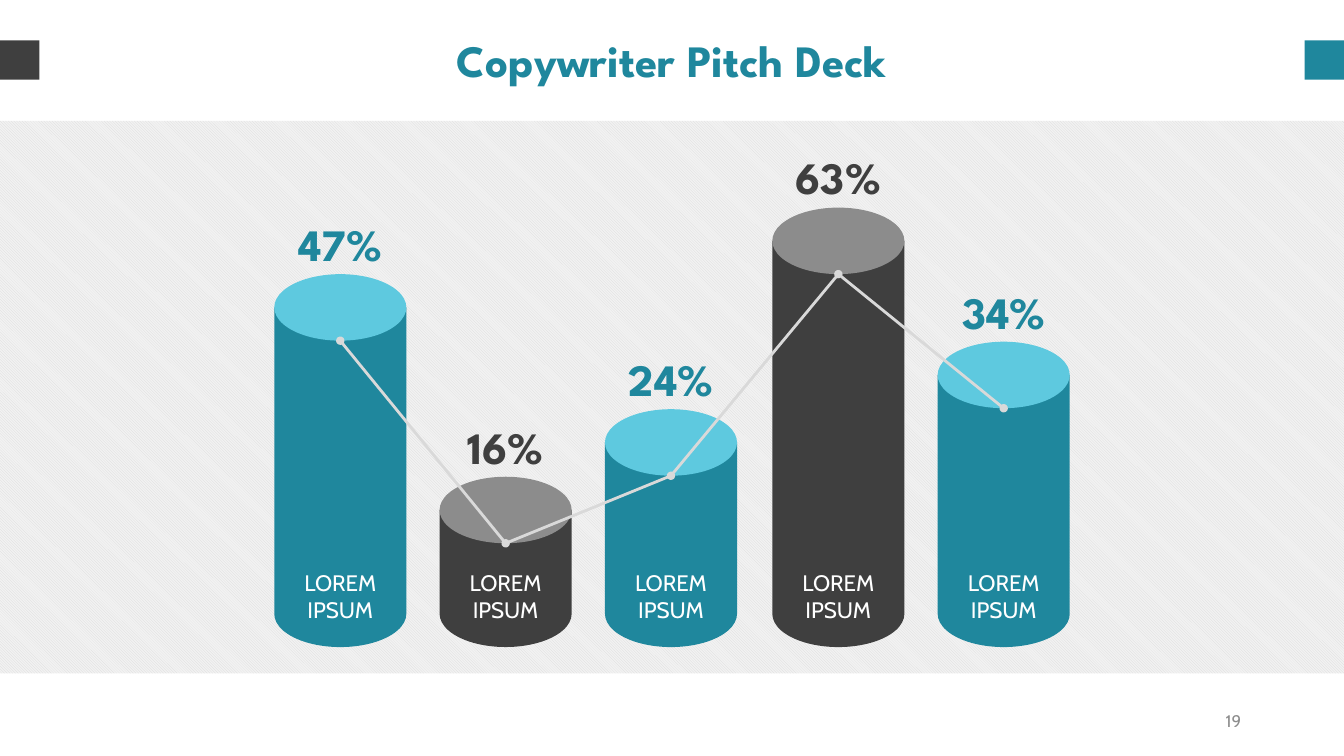
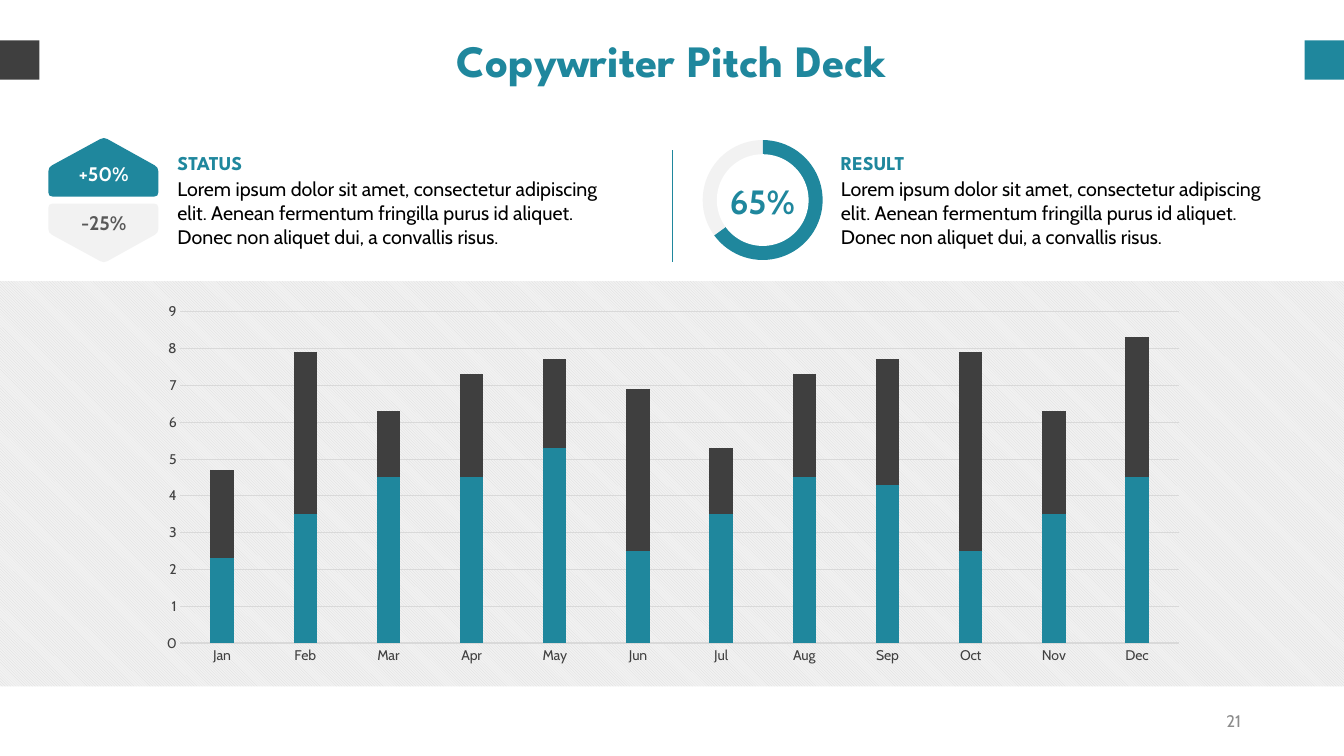
"""Build two pitch deck slides: a cylinder diagram and a status report with charts."""
from math import hypot

from lxml.etree import SubElement
from pptx import Presentation
from pptx.chart.data import CategoryChartData
from pptx.dml.color import RGBColor
from pptx.enum.chart import XL_CHART_TYPE, XL_TICK_MARK
from pptx.enum.dml import MSO_PATTERN
from pptx.enum.shapes import MSO_CONNECTOR, MSO_SHAPE
from pptx.enum.text import MSO_ANCHOR, MSO_AUTO_SIZE, PP_ALIGN
from pptx.oxml import parse_xml
from pptx.oxml.ns import nsdecls, qn
from pptx.util import Inches, Pt

COLORS = {
    "teal": "1F879D", "sky": "5EC9DF", "dark": "3F3F3F", "gray": "8C8C8C",
    "rule": "D9D9D9", "pale": "F2F2F2", "axis": "404040", "muted": "595959",
    "white": "FFFFFF", "black": "000000",
}
RGB = {name: RGBColor.from_string(value) for name, value in COLORS.items()}
HEADING, BODY = "League Spartan", "Cabin"
CENTER, LEFT, RIGHT = PP_ALIGN.CENTER, PP_ALIGN.LEFT, PP_ALIGN.RIGHT
TOP, MIDDLE = MSO_ANCHOR.TOP, MSO_ANCHOR.MIDDLE


def paint(shape, color):
    shape.shadow.inherit = False
    shape.fill.solid()
    shape.fill.fore_color.rgb = RGB[color]
    shape.line.fill.background()


def write(shape, text, size, color, font=BODY, bold=False, align=CENTER, anchor=TOP):
    frame = shape.text_frame
    frame.text = text
    frame.word_wrap = True
    frame.auto_size = MSO_AUTO_SIZE.NONE
    frame.vertical_anchor = anchor
    frame.margin_left = frame.margin_right = frame.margin_top = frame.margin_bottom = 0
    paragraph = frame.paragraphs[0]
    paragraph.alignment = align
    run_font = paragraph.runs[0].font
    run_font.name, run_font.size, run_font.bold = font, Pt(size), bold
    run_font.color.rgb = RGB[color]


presentation = Presentation()
presentation.slide_width, presentation.slide_height = Inches(13.33), Inches(7.5)

slides = []
for number, band_top, band_height in [("19", 1.2, 5.48), ("21", 2.79, 4.02)]:
    slide = presentation.slides.add_slide(presentation.slide_layouts[5])
    slides.append(slide)
    band = slide.shapes.add_shape(MSO_SHAPE.RECTANGLE, 0, Inches(band_top),
                                  Inches(13.33), Inches(band_height))
    paint(band, "pale")
    band.fill.patterned()
    band.fill.pattern = MSO_PATTERN.LIGHT_DOWNWARD_DIAGONAL
    band.fill.fore_color.rgb = RGB["rule"]
    band.fill.back_color.rgb = RGB["pale"]
    title = slide.shapes.title
    title.left, title.top = Inches(0.68), Inches(0.32)
    title.width, title.height = Inches(11.97), Inches(0.54)
    write(title, "Copywriter Pitch Deck", 32, "teal", HEADING, True)
    for left, color in [(12.94, "teal"), (0, "dark")]:
        square = slide.shapes.add_shape(MSO_SHAPE.RECTANGLE, Inches(left), Inches(0.4),
                                        Inches(0.39), Inches(0.39))
        paint(square, color)
    page_number = slide.shapes.add_textbox(Inches(9.42), Inches(6.95), Inches(2.89), Inches(0.4))
    write(page_number, number, 12, "gray", align=RIGHT, anchor=MIDDLE)

cylinder_slide, report_slide = slides

WIDTH, CAP_HEIGHT, BASE = 1.31, 0.66, 6.09
cylinders = [("47%", 2.72, 2.72), ("16%", 4.36, 4.73), ("24%", 6, 4.06),
             ("63%", 7.66, 2.06), ("34%", 9.3, 3.39)]
trend = []
for index, (percent, left, top) in enumerate(cylinders):
    body_color, cap_color = [("teal", "sky"), ("dark", "gray")][index % 2]
    middle, right = left + WIDTH / 2, left + WIDTH
    trend.append((middle, top + CAP_HEIGHT))
    shoulder = top + CAP_HEIGHT / 2
    corners = [(right, shoulder), (right, BASE), (middle, BASE + CAP_HEIGHT / 2), (left, BASE)]
    builder = cylinder_slide.shapes.build_freeform(Inches(left), Inches(shoulder))
    builder.add_line_segments([(Inches(x), Inches(y)) for x, y in corners])
    cylinder = builder.convert_to_shape()
    paint(cylinder, body_color)
    outline = cylinder.element.find(".//" + qn("a:path"))
    to_bottom, to_left = outline.findall(qn("a:lnTo"))[2:4]
    half_turn = parse_xml(
        f'<a:arcTo {nsdecls("a")} wR="{Inches(WIDTH / 2)}" hR="{Inches(CAP_HEIGHT / 2)}" '
        'stAng="0" swAng="10800000"/>')
    outline.replace(to_bottom, half_turn)
    outline.remove(to_left)
    cap = cylinder_slide.shapes.add_shape(MSO_SHAPE.OVAL, Inches(left), Inches(top),
                                          Inches(WIDTH), Inches(CAP_HEIGHT))
    paint(cap, cap_color)
    value = cylinder_slide.shapes.add_textbox(Inches(left), Inches(top - 0.57),
                                              Inches(WIDTH), Inches(0.5))
    write(value, percent, 32, body_color, HEADING, True)
    label = cylinder_slide.shapes.add_textbox(Inches(middle - 0.5), Inches(5.66),
                                              Inches(1), Inches(0.5))
    write(label, "LOREM IPSUM", 16, "white", anchor=MIDDLE)

column_data = CategoryChartData()
column_data.categories = ["Jan", "Feb", "Mar", "Apr", "May", "Jun",
                          "Jul", "Aug", "Sep", "Oct", "Nov", "Dec"]
column_data.add_series("Series 1", [2.3, 3.5, 4.5, 4.5, 5.3, 2.5, 3.5, 4.5, 4.3, 2.5, 3.5, 4.5])
column_data.add_series("Series 2", [2.4, 4.4, 1.8, 2.8, 2.4, 4.4, 1.8, 2.8, 3.4, 5.4, 2.8, 3.8])
column_frame = report_slide.shapes.add_chart(
    XL_CHART_TYPE.COLUMN_STACKED, Inches(1.44), Inches(2.93),
    Inches(10.46), Inches(3.74), column_data)
column_chart = column_frame.chart
column_plot = column_chart.plots[0]
column_plot.gap_width, column_plot.overlap = 255, 100
column_plot.vary_by_categories = False
for series, color in zip(column_plot.series, ["teal", "dark"]):
    series.format.fill.solid()
    series.format.fill.fore_color.rgb = RGB[color]
month_axis, value_axis = column_chart.category_axis, column_chart.value_axis
for axis in (month_axis, value_axis):
    axis.major_tick_mark = axis.minor_tick_mark = XL_TICK_MARK.NONE
    axis.tick_labels.font.name = BODY
    axis.tick_labels.font.size = Pt(10)
    axis.tick_labels.font.color.rgb = RGB["axis"]
month_axis.format.line.color.rgb = RGB["rule"]
month_axis.format.line.width = Pt(0.75)
value_axis.format.line.fill.background()
value_axis.minimum_scale, value_axis.maximum_scale, value_axis.major_unit = 0, 9, 1
value_axis.major_gridlines.format.line.color.rgb = RGB["rule"]
value_axis.major_gridlines.format.line.width = Pt(0.25)

pie_data = CategoryChartData()
pie_data.categories = ["1", "2"]
pie_data.add_series("Series 1", [65, 35])
pie_frame = report_slide.shapes.add_chart(
    XL_CHART_TYPE.PIE, Inches(6.68), Inches(1.25), Inches(1.77), Inches(1.47), pie_data)
for index, color in enumerate(["teal", "pale"]):
    point = pie_frame.chart.plots[0].series[0].points[index]
    point.format.fill.solid()
    point.format.fill.fore_color.rgb = RGB[color]
    point.format.line.fill.background()

plot_boxes = [(column_frame, 1.79, 3.09, 9.9, 3.29), (pie_frame, 6.97, 1.39, 1.19, 1.19)]
for frame, left, top, width, height in plot_boxes:
    chart = frame.chart
    chart.has_legend = chart.has_title = False
    chart.font.name, chart.font.size = BODY, Pt(10)
    chart.font.color.rgb = RGB["black"]
    plot_area = chart.element.find(".//" + qn("c:plotArea"))
    for layout in plot_area.findall(qn("c:layout")):
        plot_area.remove(layout)
    settings = [("layoutTarget", "inner"), ("xMode", "edge"), ("yMode", "edge"),
                ("x", (Inches(left) - frame.left) / frame.width),
                ("y", (Inches(top) - frame.top) / frame.height),
                ("w", Inches(width) / frame.width), ("h", Inches(height) / frame.height)]
    entries = "".join(f'<c:{name} val="{setting}"/>' for name, setting in settings)
    plot_area.insert(0, parse_xml(
        f'<c:layout {nsdecls("c")}><c:manualLayout>{entries}</c:manualLayout></c:layout>'))

hole = report_slide.shapes.add_shape(MSO_SHAPE.OVAL, Inches(7.11), Inches(1.53),
                                     Inches(0.91), Inches(0.91))
paint(hole, "white")
share = report_slide.shapes.add_textbox(Inches(7.12), Inches(1.79), Inches(0.88), Inches(0.4))
write(share, "65%", 24, "teal", bold=True)

BADGE_CORNERS = [(0.48, 0), (1.57, 0), (1.57, 0.29), (1.03, 0.59), (0.48, 0.29)]
CORNER_CUT = 0.04
badges = [("-25%", 2.02, 1, 2.09, "pale", "muted"), ("+50%", 1.95, -1, 1.61, "teal", "white")]
for text, edge, direction, text_top, fill_color, text_color in badges:
    points = []
    for index, (x, y) in enumerate(BADGE_CORNERS):
        cuts = []
        for other_x, other_y in (BADGE_CORNERS[index - 1], BADGE_CORNERS[(index + 1) % 5]):
            ratio = CORNER_CUT / hypot(other_x - x, other_y - y)
            cuts.append((x + ratio * (other_x - x), y + ratio * (other_y - y)))
        points += [cuts[0], (x, y), cuts[1]]
    points = [(Inches(x), Inches(edge + direction * y)) for x, y in points]
    builder = report_slide.shapes.build_freeform(*points[0])
    builder.add_line_segments(points[1:])
    badge = builder.convert_to_shape()
    paint(badge, fill_color)
    outline = badge.element.find(".//" + qn("a:path"))
    segments = outline.findall(qn("a:lnTo"))
    for to_corner, to_end in zip(segments[0::3], segments[1::3]):
        bend = parse_xml(f'<a:quadBezTo {nsdecls("a")}/>')
        outline.replace(to_corner, bend)
        outline.remove(to_end)
        bend.extend([to_corner[0], to_end[0]])
    change = report_slide.shapes.add_textbox(Inches(0.68), Inches(text_top),
                                             Inches(0.7), Inches(0.24))
    write(change, text, 14, text_color, bold=True)

SUMMARY = ("Lorem ipsum dolor sit amet, consectetur adipiscing elit. Aenean fermentum "
           "fringilla purus id aliquet. Donec non aliquet dui, a convallis risus.")
for heading_text, left in [("STATUS", 1.76), ("RESULT", 8.34)]:
    heading = report_slide.shapes.add_textbox(Inches(left), Inches(1.5), Inches(4.5), Inches(0.24))
    write(heading, heading_text, 14, "teal", HEADING, True, LEFT)
    summary = report_slide.shapes.add_textbox(Inches(left), Inches(1.76), Inches(4.5), Inches(0.71))
    write(summary, SUMMARY, 14, "black", align=LEFT)

lines = [(cylinder_slide, start, end, "rule", 2, ["headEnd"])
         for start, end in zip(trend, trend[1:])]
lines[-1][-1].append("tailEnd")
lines.append((report_slide, (6.67, 1.49), (6.67, 2.6), "teal", 0.5, []))
for slide, start, end, color, width, dots in lines:
    connector = slide.shapes.add_connector(MSO_CONNECTOR.STRAIGHT, *map(Inches, start + end))
    connector.line.color.rgb = RGB[color]
    connector.line.width = Pt(width)
    properties = connector.element.spPr
    for dot in dots:
        SubElement(properties.find(qn("a:ln")), qn("a:" + dot), type="oval")
    SubElement(properties, qn("a:effectLst"))

presentation.save("out.pptx")
